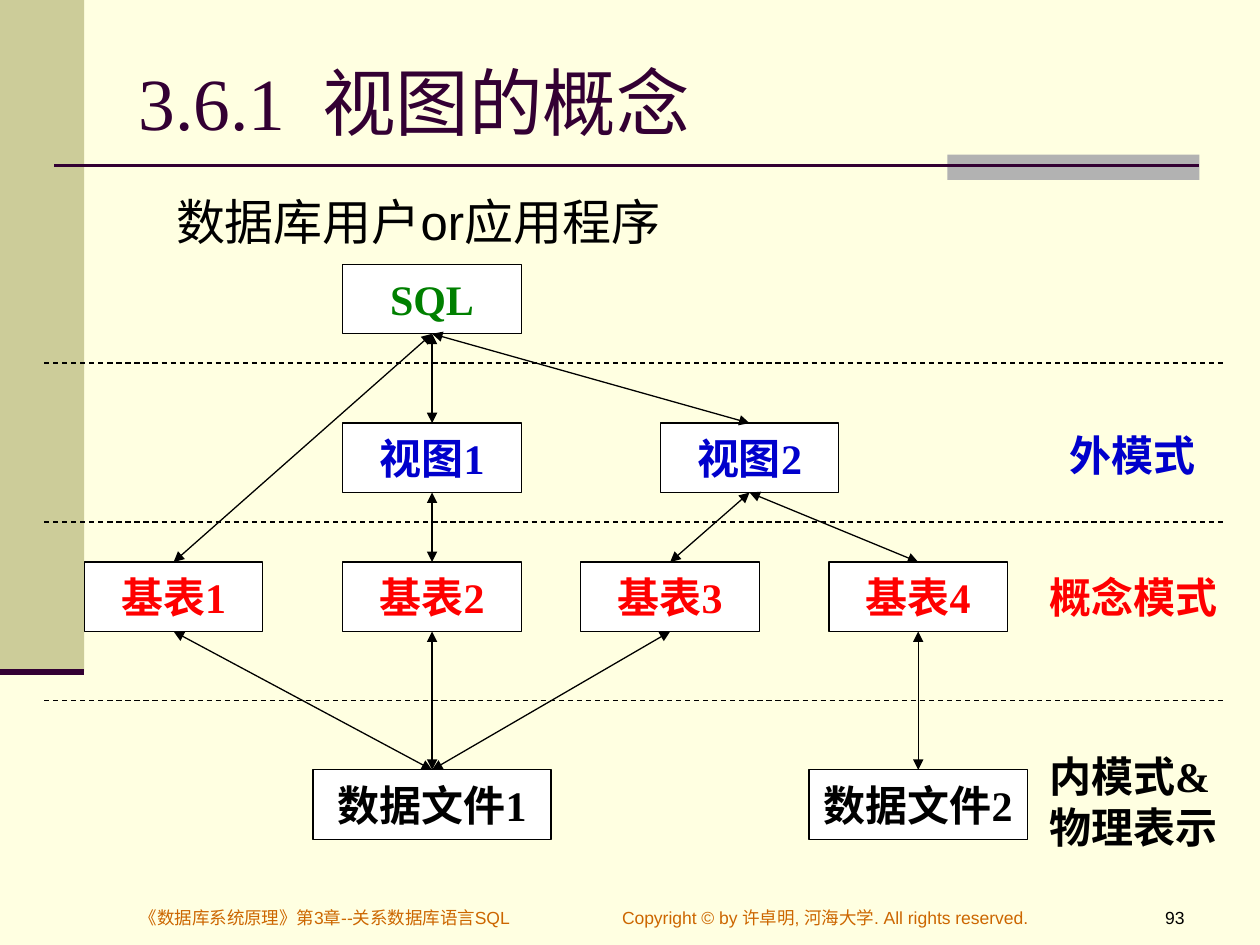
from lxml.etree import SubElement
from pptx import Presentation
from pptx.dml.color import RGBColor
from pptx.enum.dml import MSO_LINE
from pptx.enum.shapes import MSO_CONNECTOR, MSO_SHAPE
from pptx.enum.text import MSO_ANCHOR as ANCHOR, MSO_AUTO_SIZE, PP_ALIGN as ALIGN
from pptx.oxml.ns import qn
from pptx.util import Cm, Pt

SERIF, SANS = "Times New Roman", "Arial"
BLACK, BLUE, RED, GREEN = "000000", "0000CC", "FF0000", "008000"
PLUM, ORANGE = "330033", "CC6600"
BOX_H, BOX_W = 1.4, 3.6

TITLE = "3.6.1  视图的概念"
ROWS = [
    (5.33, GREEN, [("SQL", 8.71, BOX_W)]),
    (8.53, BLUE, [("视图1", 8.71, BOX_W), ("视图2", 15.11, BOX_W)]),
    (11.33, RED, [("基表1", 3.5, BOX_W), ("基表2", 8.71, BOX_W),
                  ("基表3", 13.51, BOX_W), ("基表4", 18.51, BOX_W)]),
    (15.52, BLACK, [("数据文件1", 8.71, 4.8), ("数据文件2", 18.51, 4.4)]),
]
LINKS = [
    ("SQL", "视图1"), ("SQL", "视图2"), ("SQL", "基表1"),
    ("视图1", "基表2"), ("视图2", "基表3"), ("视图2", "基表4"),
    ("基表4", "数据文件2"), ("基表2", "数据文件1"),
    ("基表1", "数据文件1"), ("基表3", "数据文件1"),
]
DIVIDERS = [7.32, 10.52, 14.12]
LABELS = [
    ("外模式", 21.31, 8.53, 3.4, 1.27, BLUE),
    ("概念模式", 20.9, 11.4, 3.99, 1.27, RED),
    ("内模式&\n物理表示", 20.9, 15.01, 4.19, 2.31, BLACK),
]
FOOTERS = [
    ("《数据库系统原理》第3章--关系数据库语言SQL", 2.57, 9.35, ORANGE, ALIGN.LEFT),
    ("Copyright © by 许卓明, 河海大学. All rights reserved.", 12.29, 9.6, ORANGE, ALIGN.LEFT),
    ("93", 22.3, 1.83, BLACK, ALIGN.RIGHT),
]


def rgb(value):
    return RGBColor.from_string(value)


def write(sp, text, size, font, color, bold=False, align=ALIGN.LEFT):
    tf = sp.text_frame
    tf.text = text
    for p in tf.paragraphs:
        p.alignment = align
        for r in p.runs:
            r.font.size, r.font.name, r.font.bold = Pt(size), font, bold
            r.font.color.rgb = rgb(color)
    return tf


def add_rect(x, y, w, h, fill, line=None):
    sp = slide.shapes.add_shape(MSO_SHAPE.RECTANGLE, Cm(x), Cm(y), Cm(w), Cm(h))
    sp.shadow.inherit = False
    sp.fill.solid()
    sp.fill.fore_color.rgb = rgb(fill)
    if line:
        sp.line.color.rgb = rgb(line)
        sp.line.width = Pt(0.75)
    else:
        sp.line.fill.background()
    return sp


def add_line(x1, y1, x2, y2, color=BLACK, width=0.75):
    cx = slide.shapes.add_connector(MSO_CONNECTOR.STRAIGHT, Cm(x1), Cm(y1), Cm(x2), Cm(y2))
    cx.line.color.rgb = rgb(color)
    cx.line.width = Pt(width)
    SubElement(cx._element.spPr, qn("a:effectLst"))
    return cx


def add_text(text, x, y, w, h, size, font, color, bold=False, align=ALIGN.LEFT):
    sp = slide.shapes.add_textbox(Cm(x), Cm(y), Cm(w), Cm(h))
    write(sp, text, size, font, color, bold, align).word_wrap = True


prs = Presentation()
prs.slide_width, prs.slide_height = Cm(25.4), Cm(19.05)
slide = prs.slides.add_slide(prs.slide_layouts[5])
slide.background.fill.solid()
slide.background.fill.fore_color.rgb = rgb("FFFFE1")

add_rect(0, 0, 1.7, 13.54, "CCCC99")
add_rect(19.1, 3.12, 5.08, 0.51, "B2B2B2")
add_line(1.09, 3.33, 24.18, 3.33, PLUM, 1.5)
add_line(0, 13.54, 1.7, 13.54, PLUM, 3.5)

title = slide.shapes.title
title.left, title.top, title.width, title.height = Cm(2.54), Cm(0.76), Cm(21.59), Cm(2.57)
tf = write(title, TITLE, 42, SERIF, PLUM)
tf.vertical_anchor = ANCHOR.MIDDLE
tf.auto_size = MSO_AUTO_SIZE.NONE

boxes = {}
for top, color, row in ROWS:
    for name, center, width in row:
        sp = add_rect(center - width / 2, top, width, BOX_H, "FFFFFF", BLACK)
        tf = write(sp, name, 24, SERIF, color, True, ALIGN.CENTER)
        tf.vertical_anchor = ANCHOR.MIDDLE
        tf.word_wrap = False
        boxes[name] = sp

for y in DIVIDERS:
    add_line(0.89, y, 24.71, y).line.dash_style = MSO_LINE.DASH

for upper, lower in LINKS:
    cx = add_line(0, 0, 1, 1)
    cx.begin_connect(boxes[upper], 2)
    cx.end_connect(boxes[lower], 0)
    for tag in ("a:headEnd", "a:tailEnd"):
        SubElement(cx.line._get_or_add_ln(), qn(tag), type="triangle")

for text, x, y, w, h, color in LABELS:
    add_text(text, x, y, w, h, 24, SERIF, color, True)
add_text("数据库用户or应用程序", 3.3, 3.73, 10.39, 1.45, 28, SANS, BLACK)
for text, x, w, color, align in FOOTERS:
    add_text(text, x, 18.16, w, 0.69, 10, SANS, color, align=align)

prs.save("out.pptx")
